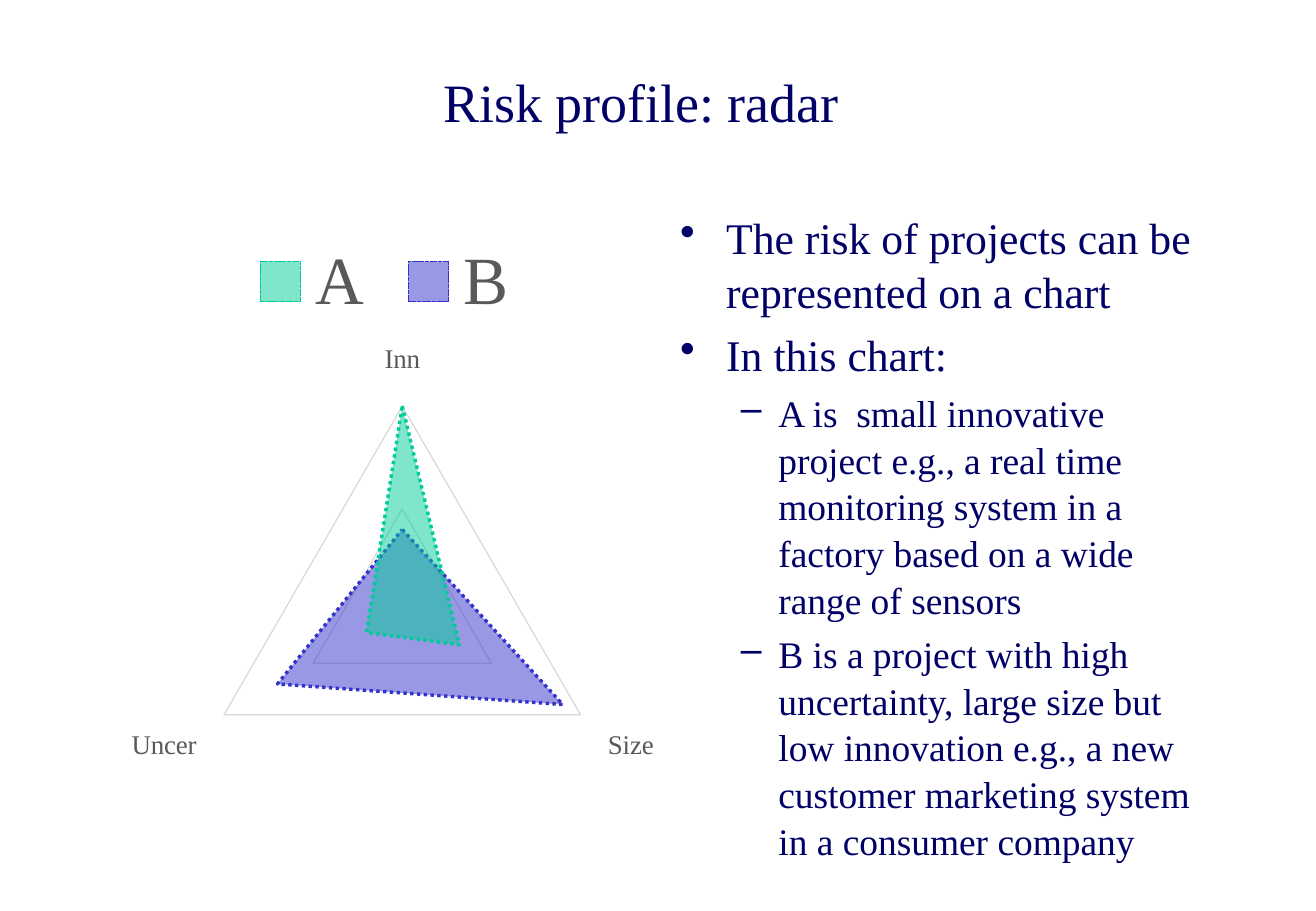
from dataclasses import dataclass

from lxml.etree import SubElement
from pptx import Presentation
from pptx.chart.chart import Chart
from pptx.chart.data import CategoryChartData
from pptx.dml.color import RGBColor
from pptx.enum.chart import XL_CHART_TYPE, XL_LEGEND_POSITION, XL_TICK_MARK
from pptx.enum.dml import MSO_LINE
from pptx.enum.text import MSO_ANCHOR, PP_ALIGN
from pptx.oxml.ns import qn
from pptx.slide import Slide
from pptx.text.text import Font, TextFrame
from pptx.util import Emu, Inches, Pt

COLUMNS, ROWS = 13, 9
CELL = Inches(7.5) / ROWS
FONT_NAME = "Times New Roman"
NAVY = RGBColor(0x00, 0x00, 0x66)
GREEN = RGBColor(0x00, 0xCC, 0x99)
BLUE = RGBColor(0x33, 0x33, 0xCC)
GREY = RGBColor(0x59, 0x59, 0x59)
PALE_GREY = RGBColor(0xD9, 0xD9, 0xD9)
BLACK = RGBColor(0x00, 0x00, 0x00)


@dataclass(frozen=True)
class Area:
    column: float
    row: float
    columns: float
    rows: float

    def lengths(self) -> list[Emu]:
        return [Emu(round(n * CELL)) for n in (self.column, self.row, self.columns, self.rows)]


@dataclass(frozen=True)
class Level:
    mark: str
    size: float
    margin: float
    hanging: float
    space_before: float


@dataclass(frozen=True)
class Point:
    text: str
    level: Level


@dataclass(frozen=True)
class Project:
    name: str
    risks: tuple[int, int, int]
    color: RGBColor


TITLE_AREA = Area(0.97, 0.4, 10.73, 1.2)
POINTS_AREA = Area(6.6, 2, 5.42, 6)
RADAR_AREA = Area(1.17, 2.2, 5.42, 6)

MAIN = Level("•", 25.9, 0.38, 0.38, 5.2)
DETAIL = Level("–", 22.2, 0.81, 0.31, 4.4)

POINTS = [
    Point("The risk of projects can be represented on a chart", MAIN),
    Point("In this chart:", MAIN),
    Point("A is  small innovative project e.g., a real time monitoring system "
          "in a factory based on a wide range of sensors", DETAIL),
    Point("B is a project with high uncertainty, large size but low innovation "
          "e.g., a new customer marketing system in a consumer company", DETAIL),
]

RISK_FACTORS = ["Inn", "Size", "Uncer"]
PROJECTS = [
    Project("A", (100, 32, 20), GREEN),
    Project("B ", (40, 90, 70), BLUE),
]


def set_font(font: Font, size: float, color: RGBColor) -> None:
    font.name = FONT_NAME
    font.size = Pt(size)
    font.color.rgb = color


def add_text_area(slide: Slide, area: Area) -> TextFrame:
    frame = slide.shapes.add_textbox(*area.lengths()).text_frame
    frame.word_wrap = True
    return frame


def add_title(slide: Slide) -> None:
    frame = add_text_area(slide, TITLE_AREA)
    frame.vertical_anchor = MSO_ANCHOR.MIDDLE
    frame.text = "Risk profile: radar"
    heading = frame.paragraphs[0]
    heading.alignment = PP_ALIGN.CENTER
    set_font(heading.runs[0].font, 32, NAVY)


def add_points(slide: Slide) -> None:
    frame = add_text_area(slide, POINTS_AREA)
    frame.text = "\n".join(point.text for point in POINTS)
    for index, (paragraph, point) in enumerate(zip(frame.paragraphs, POINTS)):
        level = point.level
        properties = paragraph._p.get_or_add_pPr()
        properties.set("marL", str(Inches(level.margin)))
        properties.set("indent", str(-Inches(level.hanging)))
        SubElement(properties, qn("a:buChar"), char=level.mark)
        paragraph.level = 0 if level is MAIN else 1
        paragraph.line_spacing = 1.04
        paragraph.space_before = Pt(level.space_before if index else 0)
        set_font(paragraph.runs[0].font, level.size, NAVY)


def style_axes(chart: Chart) -> None:
    factors = chart.category_axis
    factors.has_major_gridlines = False
    factors.major_tick_mark = XL_TICK_MARK.NONE
    set_font(factors.tick_labels.font, 16, GREY)
    risk = chart.value_axis
    risk.minimum_scale, risk.maximum_scale, risk.major_unit = 0, 100, 50
    risk.has_major_gridlines = True
    risk.visible = False
    for line in (factors.format.line, risk.major_gridlines.format.line):
        line.color.rgb = PALE_GREY
        line.width = Pt(0.75)


def style_projects(chart: Chart) -> None:
    for series, project in zip(chart.plots[0].series, PROJECTS):
        fill = series.format.fill
        fill.solid()
        fill.fore_color.rgb = project.color
        tint = series._element.xpath("c:spPr/a:solidFill/a:srgbClr")[0]
        SubElement(tint, qn("a:alpha"), val="50000")
        outline = series.format.line
        outline.color.rgb = project.color
        outline.width = Pt(2)
        outline.dash_style = MSO_LINE.ROUND_DOT


def add_radar(slide: Slide) -> None:
    data = CategoryChartData()
    data.categories = RISK_FACTORS
    for project in PROJECTS:
        data.add_series(project.name, project.risks)
    chart = slide.shapes.add_chart(
        XL_CHART_TYPE.RADAR_FILLED, *RADAR_AREA.lengths(), data).chart
    set_font(chart.font, 10, BLACK)
    chart.has_title = False
    chart.plots[0].vary_by_categories = False
    chart.has_legend = True
    chart.legend.position = XL_LEGEND_POSITION.TOP
    chart.legend.include_in_layout = False
    set_font(chart.legend.font, 40, GREY)
    style_axes(chart)
    style_projects(chart)


def main() -> None:
    presentation = Presentation()
    presentation.slide_width = Emu(round(COLUMNS * CELL))
    presentation.slide_height = Emu(round(ROWS * CELL))
    slide = presentation.slides.add_slide(presentation.slide_layouts[6])
    add_title(slide)
    add_points(slide)
    add_radar(slide)
    presentation.save("out.pptx")


if __name__ == "__main__":
    main()
